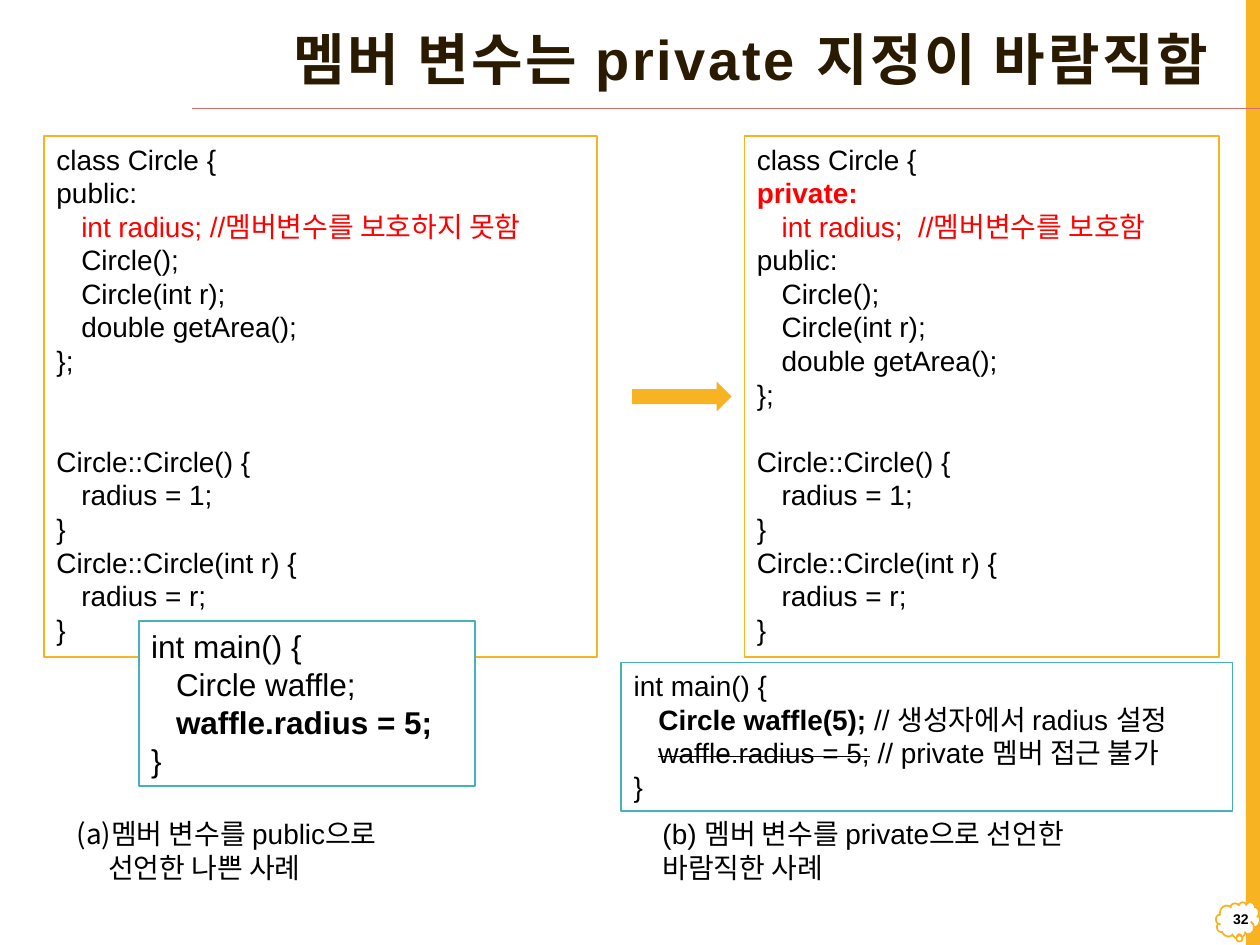
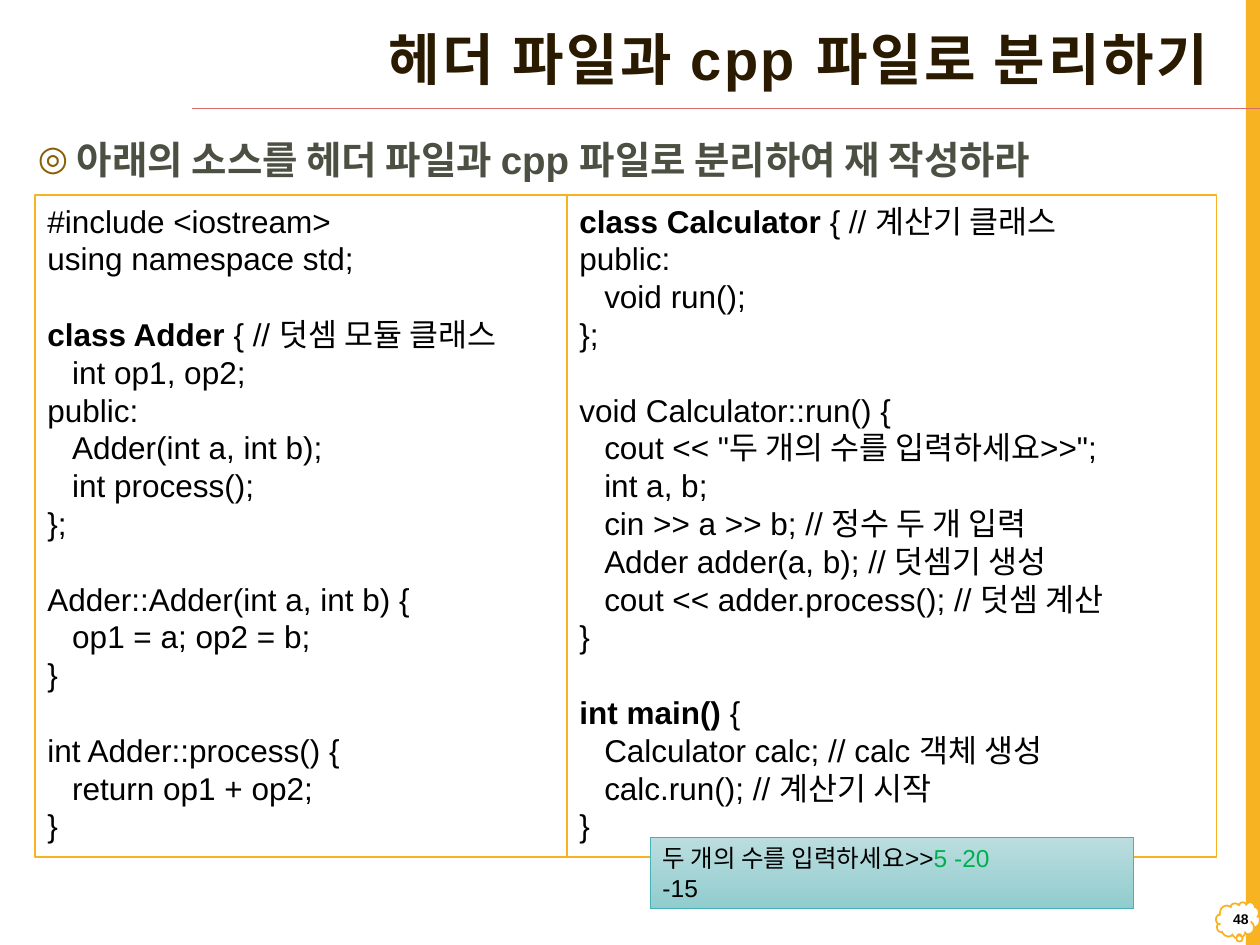
"""Build two lecture slides on C++ classes: private members and file separation."""
from pptx import Presentation
from pptx.dml.color import RGBColor
from pptx.enum.shapes import MSO_CONNECTOR as CONN, MSO_SHAPE as SHAPE
from pptx.enum.text import MSO_ANCHOR as ANCHOR, MSO_AUTO_SIZE as AUTO, PP_ALIGN as ALIGN
from pptx.oxml import parse_xml
from pptx.oxml.ns import nsdecls
from pptx.util import Pt

rgb = RGBColor.from_string
FONT = "Arial"
AMBER, TEAL, ROSE = "F8B323", "46B2B5", "D36F68"
BLACK, WHITE, RED, GREEN = "000000", "FFFFFF", "FF0000", "00B050"
BROWN, OLIVE, BULLET = "2A1A00", "4C5043", "895E04"
TAB = 14.2
LINE = 1.2


def add_box(s, kind, at, fill=None, line=None, width=1):
    """Add a flat preset shape at (left, top, width, height) in points."""
    sp = s.shapes.add_shape(kind, *map(Pt, at))
    sp.shadow.inherit = False
    if fill:
        sp.fill.solid()
        sp.fill.fore_color.rgb = rgb(fill)
    if line:
        sp.line.color.rgb = rgb(line)
        sp.line.width = Pt(width)
    else:
        sp.line.fill.background()
    return sp


def write(sp, lines, size, color=BLACK, bold=False, spacing=None, anchor=ANCHOR.TOP, **para):
    """Write lines of text or (text, format) runs; an empty line becomes a gap."""
    tf = sp.text_frame
    for name, value in dict(word_wrap=True, auto_size=AUTO.NONE, vertical_anchor=anchor).items():
        setattr(tf, name, value)
    gap, p = 0, None
    for line in lines:
        if not line:
            gap += LINE * size
            continue
        p = tf.add_paragraph() if p else tf.paragraphs[0]
        look = dict(alignment=ALIGN.LEFT, space_before=Pt(gap),
                    line_spacing=spacing or Pt(LINE * size)) | para
        for name, value in look.items():
            setattr(p, name, value)
        gap = 0
        runs = [(line, {})] if isinstance(line, str) else line
        if runs[0][0].startswith("\t"):
            p._p.get_or_add_pPr().append(parse_xml(
                f'<a:tabLst {nsdecls("a")}><a:tab pos="{Pt(TAB)}" algn="l"/></a:tabLst>'))
        for text, fmt in runs:
            r = p.add_run()
            r.text = text
            font = dict(name=FONT, size=Pt(size), bold=bold) | fmt
            r.font.color.rgb = rgb(font.pop("color", color))
            if font.pop("strike", False):
                r._r.get_or_add_rPr().set("strike", "sngStrike")
            for name, value in font.items():
                setattr(r.font, name, value)
    return tf


prs = Presentation()
prs.slide_width, prs.slide_height = Pt(720), Pt(540)

pages = [("멤버 변수는 private 지정이 바람직함", "32", 5),
         ("헤더 파일과 cpp 파일로 분리하기", "48", 1)]
for title, number, layout in pages:
    s = prs.slides.add_slide(prs.slide_layouts[layout])
    add_box(s, SHAPE.RECTANGLE, (712, 0, 8, 540), AMBER)
    cloud = add_box(s, SHAPE.CLOUD_CALLOUT, (694.8, 515.5, 25.2, 20.9), WHITE, AMBER)
    cloud.adjustments[0], cloud.adjustments[1] = 0.03, 0.43
    rule = s.shapes.add_connector(CONN.STRAIGHT, Pt(720), Pt(62), Pt(110), Pt(62))
    rule.line.color.rgb = rgb(ROSE)
    rule.line.width = Pt(1)
    rule._element.spPr.append(parse_xml(f'<a:effectLst {nsdecls("a")}/>'))
    sp = s.shapes.title
    sp.left, sp.top, sp.width, sp.height = map(Pt, (95, 9.4, 602.7, 52.6))
    tf = write(sp, [title], 32, BROWN, True, 0.9, ANCHOR.MIDDLE, alignment=ALIGN.RIGHT)
    tf.paragraphs[0].runs[0]._r.get_or_add_rPr().set("spc", "150")
    sp = s.shapes.add_textbox(*map(Pt, (695.5, 512.6, 25.2, 25.2)))
    write(sp, [number], 8, bold=True, anchor=ANCHOR.MIDDLE, alignment=ALIGN.RIGHT)

members = ["\tCircle();", "\tCircle(int r);", "\tdouble getArea();", "};"]
bodies = ["Circle::Circle() {", "\tradius = 1;", "}",
          "Circle::Circle(int r) {", "\tradius = r;", "}"]
public_class = ["class Circle {", "public:",
                [("\tint radius; //멤버변수를 보호하지 못함", dict(color=RED))],
                *members, "", "", *bodies]
private_class = ["class Circle {", [("private:", dict(color=RED, bold=True))],
                 [("\tint radius;  //멤버변수를 보호함", dict(color=RED))],
                 "public:", *members, "", *bodies]
public_main = ["int main() {", "\tCircle waffle;",
               [("\t", {}), ("waffle.radius = 5;", dict(bold=True))], "}"]
private_main = ["int main() {",
                [("\t", {}), ("Circle waffle(5); ", dict(bold=True)),
                 ("// 생성자에서 radius 설정", {})],
                [("\t", {}), ("waffle.radius = 5;", dict(strike=True)),
                 (" // private 멤버 접근 불가", {})], "}"]
adder = ["#include <iostream>", "using namespace std;", "",
         [("class Adder ", dict(bold=True)), ("{ // 덧셈 모듈 클래스", {})],
         "\tint op1, op2;", "public:", "\tAdder(int a, int b);", "\tint process();", "};", "",
         "Adder::Adder(int a, int b) {", "\top1 = a; op2 = b;", "}", "",
         "int Adder::process() {", "\treturn op1 + op2;", "}"]
calculator = [[("class Calculator ", dict(bold=True)), ("{ // 계산기 클래스", {})],
              "public:", "\tvoid run();", "};", "",
              "void Calculator::run() {", "\tcout << \"두 개의 수를 입력하세요>>\";",
              "\tint a, b;", "\tcin >> a >> b; // 정수 두 개 입력",
              "\tAdder adder(a, b); // 덧셈기 생성",
              "\tcout << adder.process(); // 덧셈 계산", "}", "",
              [("int main() ", dict(bold=True)), ("{", {})],
              "\tCalculator calc; // calc 객체 생성", "\tcalc.run(); // 계산기 시작", "}"]

members_slide, files_slide = prs.slides
code_boxes = [
    (members_slide, (25.2, 77.6, 316, 298), AMBER, 16, public_class),
    (members_slide, (79.3, 355, 192.2, 94.4), TEAL, 18, public_main),
    (members_slide, (425.4, 77.6, 271.3, 298), AMBER, 16, private_class),
    (members_slide, (355, 378.5, 349.4, 85), TEAL, 16, private_main),
    (files_slide, (20, 111.6, 319.7, 378), AMBER, 18, adder),
    (files_slide, (324, 111.6, 371.2, 378), AMBER, 18, calculator),
]
for s, at, line, size, code in code_boxes:
    write(add_box(s, SHAPE.RECTANGLE, at, WHITE, line), code, size)

add_box(members_slide, SHAPE.RIGHT_ARROW, (361.2, 218, 56.9, 17.2), AMBER)
captions = [((36.7, 463, 207.4, 46), ["멤버 변수를 public으로", "선언한 나쁜 사례"]),
            ((371.5, 463, 288, 46), ["(b) 멤버 변수를 private으로 선언한 바람직한 사례"])]
for at, lines in captions:
    tf = write(members_slide.shapes.add_textbox(*map(Pt, at)), lines, 16)
    if len(lines) > 1:
        for p, indent in zip(tf.paragraphs, (-18, 0)):
            pPr = p._p.get_or_add_pPr()
            pPr.set("marL", str(Pt(18)))
            pPr.set("indent", str(Pt(indent)))
        tf.paragraphs[0]._p.pPr.append(parse_xml(
            f'<a:buAutoNum {nsdecls("a")} type="alphaLcParenBoth"/>'))

sp = files_slide.placeholders[1]
sp.left, sp.top, sp.width, sp.height = map(Pt, (14.4, 71.3, 686.2, 459.4))
tf = write(sp, ["아래의 소스를 헤더 파일과 cpp 파일로 분리하여 재 작성하라"], 22, OLIVE, True, 1.1)
pPr = tf.paragraphs[0]._p.get_or_add_pPr()
pPr.set("marL", str(Pt(22.4)))
pPr.set("indent", str(Pt(-22.4)))
for tag in (f'<a:buClr {nsdecls("a")}><a:srgbClr val="{BULLET}"/></a:buClr>',
            f'<a:buSzPct {nsdecls("a")} val="90000"/>',
            f'<a:buChar {nsdecls("a")} char="◎"/>'):
    pPr.append(parse_xml(tag))

console = add_box(files_slide, SHAPE.RECTANGLE, (371.5, 478.4, 276.5, 41), line=TEAL, width=0.5)
console.fill.gradient()
console.fill.gradient_angle = 270
for stop, color, position in zip(console.fill.gradient_stops, ("BCDDDF", "90CCCE"), (0, 1)):
    stop.color.rgb = rgb(color)
    stop.position = position
write(console, [[("두 개의 수를 입력하세요>>", {}), ("5 -20", dict(color=GREEN))], "-15"], 14)

prs.save("out.pptx")
